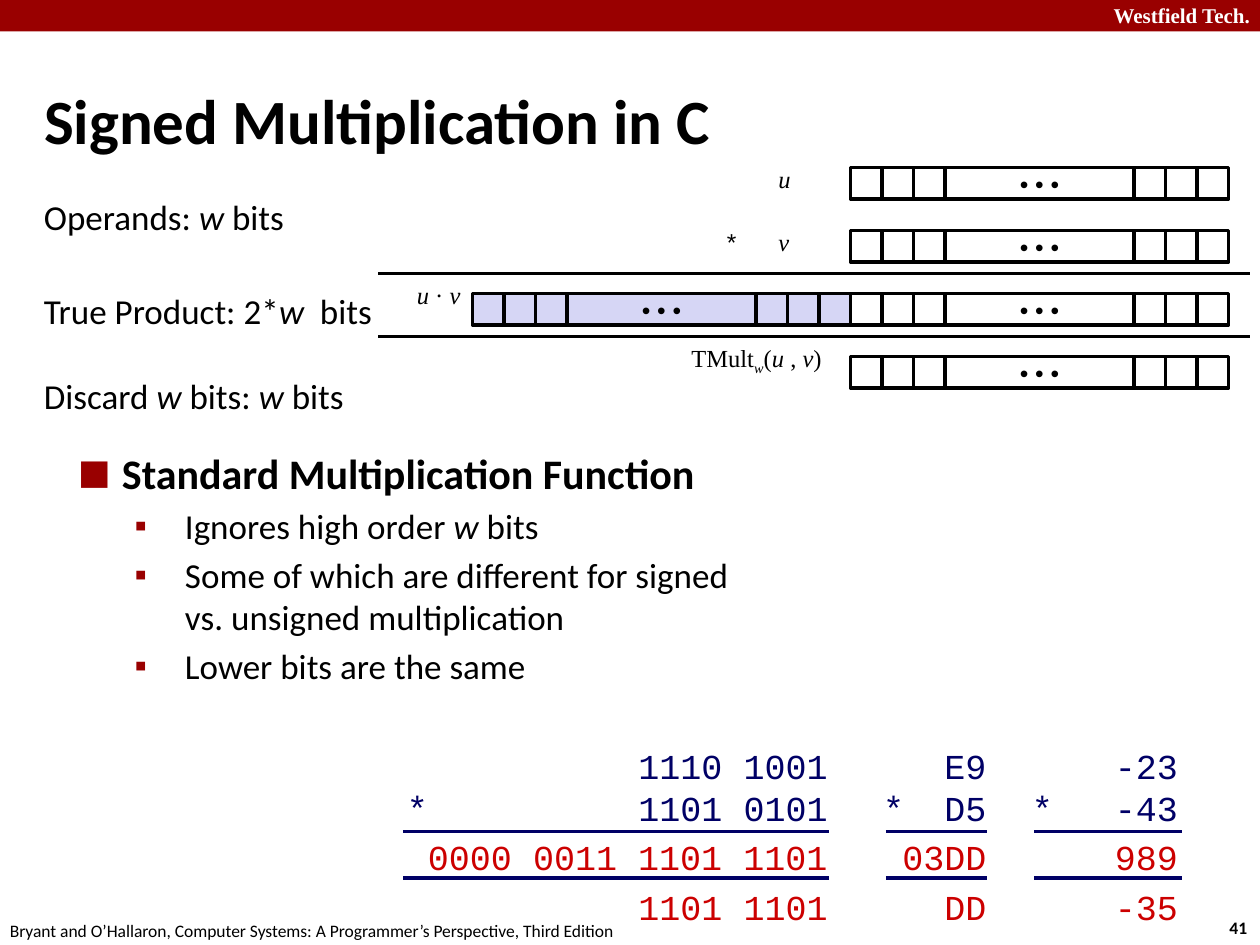
import pptx
import pptx.util
import pptx.dml.color
import pptx.enum.shapes
import pptx.enum.text
import lxml.etree

Inches, Pt = pptx.util.Inches, pptx.util.Pt
RGB = pptx.dml.color.RGBColor
ALIGN, ANCHOR = pptx.enum.text.PP_ALIGN, pptx.enum.text.MSO_ANCHOR
RECT = pptx.enum.shapes.MSO_SHAPE.RECTANGLE
STRAIGHT = pptx.enum.shapes.MSO_CONNECTOR.STRAIGHT

BLACK, WHITE = RGB(0, 0, 0), RGB(255, 255, 255)
CRIMSON, RED = RGB(0x99, 0, 0), RGB(0xCC, 0, 0)
NAVY, LAVENDER = RGB(0, 0, 0x66), RGB(0xD6, 0xD6, 0xF5)
SANS, SERIF, MONO = "Calibri", "Times New Roman", "Courier New"
CELL = 0.25


def add_xml(parent, tag, **attributes):
    return lxml.etree.SubElement(parent, pptx.oxml.ns.qn(tag), **attributes)


def write(p, text, font, size, color=BLACK, bold=False):
    """Fill a paragraph; parts between underscores are italic."""
    for i, part in enumerate(text.split("_")):
        if part:
            r = p.add_run()
            r.text = part
            r.font.name, r.font.size = font, Pt(size)
            r.font.bold, r.font.italic = bold, i % 2 == 1
            r.font.color.rgb = color


def add_box(s, left, top, width, height, wrap=False):
    sp = s.shapes.add_textbox(Inches(left), Inches(top), Inches(width), Inches(height))
    sp.text_frame.word_wrap = wrap
    return sp.text_frame


def add_label(s, box, text, font, size, color=BLACK, bold=False, align=ALIGN.LEFT):
    p = add_box(s, *box).paragraphs[0]
    p.alignment = align
    write(p, text, font, size, color, bold)
    return p


def add_rule(s, left, right, y, color):
    c = s.shapes.add_connector(STRAIGHT, Inches(left), Inches(y), Inches(right), Inches(y))
    c.line.color.rgb, c.line.width = color, Pt(2)
    add_xml(c._element.spPr, "a:effectLst")


def add_rect(shapes, left, top, width, height, fill):
    sp = shapes.add_shape(RECT, Inches(left), Inches(top), Inches(width), Inches(height))
    sp.shadow.inherit = False
    sp.fill.solid()
    sp.fill.fore_color.rgb = fill
    return sp


def add_frame(s):
    band = add_rect(s.shapes, 0, 0, 10, 0.25, CRIMSON)
    band.line.fill.background()
    add_label(s, (8.59, -0.03, 1.43, 0.3), "Westfield Tech.", SERIF, 12, WHITE, True, ALIGN.RIGHT)
    add_label(s, (9.66, 7.23, 0.37, 0.27), "41", SANS, 10, bold=True)
    add_label(s, (-0.02, 7.25, 5.08, 0.27),
              "Bryant and O’Hallaron, Computer Systems: A Programmer’s Perspective, Third Edition",
              SANS, 10)


def add_title(s, left, top, width, height):
    sp = s.shapes.title
    sp.left, sp.top, sp.width, sp.height = map(Inches, (left, top, width, height))
    tf = sp.text_frame
    tf.vertical_anchor = ANCHOR.MIDDLE
    tf.paragraphs[0].alignment = ALIGN.LEFT
    write(tf.paragraphs[0], "Signed Multiplication in C", SANS, 36, bold=True)


def add_word(s, left, top, fill=WHITE):
    """Draw a w-bit word: three bits, an elided middle, three bits."""
    shapes = s.shapes.add_group_shape().shapes
    for column, span in ((0, 1), (1, 1), (2, 1), (9, 1), (10, 1), (11, 1), (3, 6)):
        sp = add_rect(shapes, left + column * CELL, top, span * CELL, CELL, fill)
        sp.line.color.rgb, sp.line.width = BLACK, Pt(2)
    tf = sp.text_frame
    tf.word_wrap, tf.vertical_anchor = False, ANCHOR.MIDDLE
    tf.paragraphs[0].alignment = ALIGN.CENTER
    write(tf.paragraphs[0], "•\u00a0•\u00a0•", "Arial", 14)


def add_word_diagram(s, left, top):
    word_left, pitch = left + 6.5, 0.5
    for row in range(4):
        add_word(s, word_left, top + 0.08 + row * pitch)
    add_word(s, word_left - 12 * CELL, top + 0.08 + 2 * pitch, LAVENDER)
    for y in (0.92, 1.42):
        add_rule(s, left + 2.75, left + 9.67, top + y, BLACK)

    for x, y, width, text in ((0, 0.25, 2.13, "Operands: _w_ bits"),
                              (0, 1, 2.83, "True Product: 2*_w_  bits"),
                              (0, 1.67, 2.6, "Discard _w_ bits: _w_ bits")):
        add_label(s, (left + x, top + y, width, 0.44), text, SANS, 20)
    for x, y, width, text, font in ((5.83, 0, 0.33, "_u_", SERIF),
                                    (5.83, 0.5, 0.31, "_v_", SERIF),
                                    (5.42, 0.5, 0.35, "*", "Arial"),
                                    (2.96, 0.92, 0.62, "_u _· _v_", SERIF)):
        add_label(s, (left + x, top + y, width, 0.4), text, font, 14)
    p = add_label(s, (left + 4.83, top + 1.42, 1.54, 0.4), "TMult_w_(_u_ , _v_)",
                  SERIF, 14, align=ALIGN.RIGHT)
    p.runs[1]._r.get_or_add_rPr().set("baseline", "-25000")


def add_bullet(p, char, margin, indent, percent):
    pPr = p._p.get_or_add_pPr()
    pPr.set("marL", str(Inches(margin)))
    pPr.set("indent", str(Inches(indent)))
    add_xml(add_xml(pPr, "a:buClr"), "a:srgbClr", val=str(CRIMSON))
    add_xml(pPr, "a:buSzPct", val=str(percent * 1000))
    add_xml(pPr, "a:buFont", typeface="Arial")
    add_xml(pPr, "a:buChar", char=char)


def add_notes_list(s, left, top, width, height):
    tf = add_box(s, left, top, width, height, wrap=True)
    p = tf.paragraphs[0]
    p.space_before = Pt(4.8)
    add_bullet(p, "■", 0.5, -0.35, 130)
    write(p, "Standard Multiplication Function", SANS, 24, bold=True)
    for text in ("Ignores high order _w_ bits",
                 "Some of which are different for signed vs. unsigned multiplication",
                 "Lower bits are the same"):
        p = tf.add_paragraph()
        p.level, p.space_before = 1, Pt(4)
        add_bullet(p, "▪", 1, -0.4, 100)
        write(p, text, SANS, 20)


def add_calculation(s, left, top, width, rule, values):
    """Stack two factors, their product and the truncated product."""
    first, second, product, kept = values
    for y, height, lines, color in ((0, 0.79, ("\t" + first, "*\t" + second), NAVY),
                                    (0.72, 0.45, ("\t" + product,), RED),
                                    (1.12, 0.45, ("\t" + kept,), RED)):
        tf = add_box(s, left, top + y, width, height, wrap=True)
        tf.margin_left = tf.margin_top = tf.margin_bottom = Inches(0.06)
        tf.margin_right = 0
        for i, line in enumerate(lines):
            p = tf.add_paragraph() if i else tf.paragraphs[0]
            p.line_spacing = Pt(24)
            write(p, line, MONO, 20, color)
            tabs = add_xml(p._p.get_or_add_pPr(), "a:tabLst")
            add_xml(tabs, "a:tab", pos=str(Inches(width - 0.18)), algn="r")
    for y in (0.75, 1.12):
        add_rule(s, rule[0], rule[1], top + y, NAVY)


def main():
    prs = pptx.Presentation()
    prs.slide_width, prs.slide_height = Inches(10), Inches(7.5)
    s = prs.slides.add_slide(prs.slide_layouts[5])
    add_frame(s)
    add_title(s, 0.25, 0.64, 8.41, 0.61)
    add_notes_list(s, 0.37, 3.5, 5.63, 1.8)
    add_word_diagram(s, 0.25, 1.25)
    for left, width, rule, values in (
            (8.13, 1.34, (8.21, 9.38), ("-23", "-43", "989", "-35")),
            (3.17, 3.52, (3.2, 6.58),
             ("1110 1001", "1101 0101", "0000 0011 1101 1101", "1101 1101")),
            (6.95, 1, (7.03, 7.83), ("E9", "D5", "03DD", "DD"))):
        add_calculation(s, left, 5.85, width, rule, values)
    prs.save("out.pptx")


if __name__ == "__main__":
    main()
